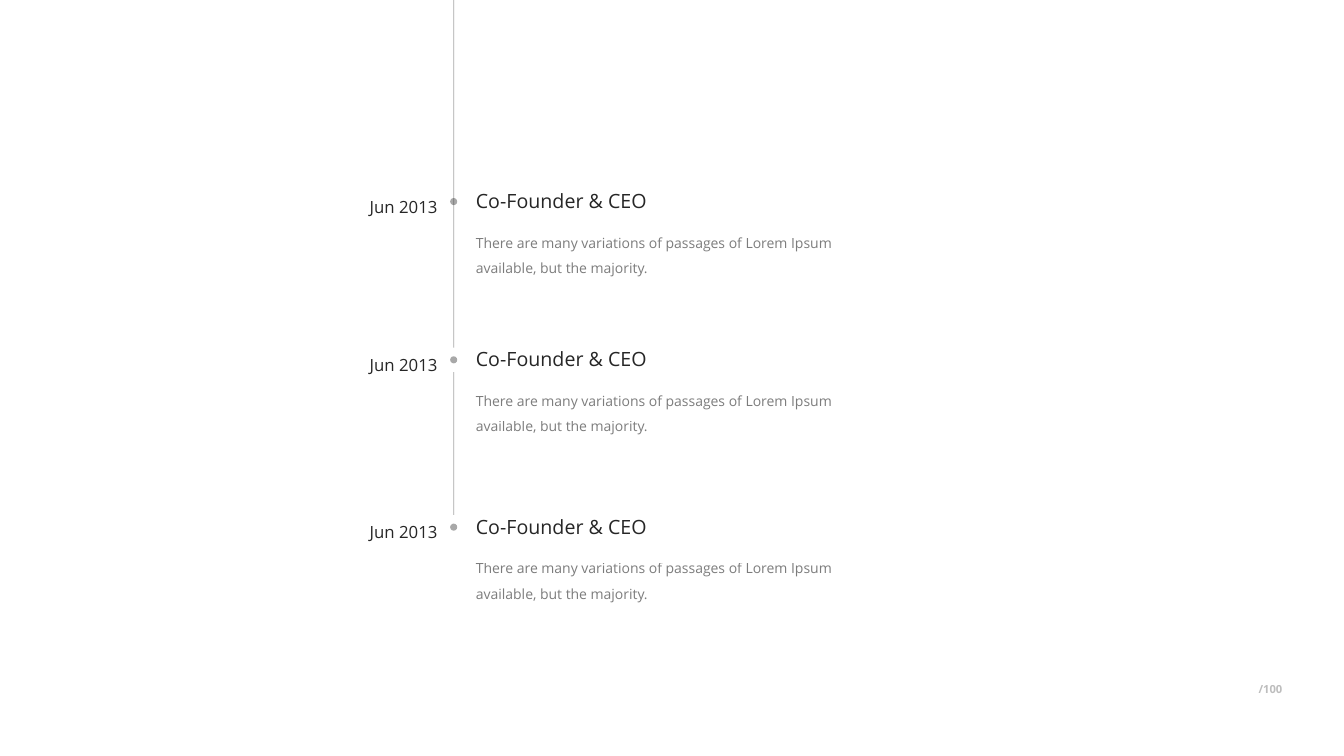
from lxml.etree import SubElement
from pptx import Presentation
from pptx.dml.color import RGBColor
from pptx.enum.shapes import MSO_CONNECTOR, MSO_SHAPE
from pptx.enum.text import MSO_ANCHOR, PP_ALIGN
from pptx.oxml.ns import qn
from pptx.util import Inches, Pt

FONT = "Open Sans"
INK, WHITE = "262626", "FFFFFF"
BODY = "There are many variations of passages of Lorem Ipsum available, but the majority."
# centre of the dot, gap in the line, date, role, description
EVENTS = [
    (2.00, False, "Jun 2013", "Co-Founder & CEO", BODY),
    (3.57, True, "Jun 2013", "Co-Founder & CEO", BODY),
    (5.23, True, "Jun 2013", "Co-Founder & CEO", BODY),
]
PAGE_LABEL = "/100"
LINE_X, LINE_END = 4.5, 5.3
DOT, GAP = 0.07, 0.24
DATE_X, TEXT_X = 2.95, 4.72


def paint(fill, color, element, opacity=100):
    """Fill with a solid colour; element is the XML that holds the fill."""
    fill.solid()
    fill.fore_color.rgb = RGBColor.from_string(color)
    if opacity < 100:
        clr = next(element.iter(qn("a:srgbClr")))
        SubElement(clr, qn("a:alpha")).set("val", str(opacity * 1000))


def add_text(s, box, text, size, opacity=100, align=PP_ALIGN.LEFT, spacing=1.0,
             anchor=MSO_ANCHOR.TOP, bold=False, right_inset=0):
    tf = s.shapes.add_textbox(*map(Inches, box)).text_frame
    tf.word_wrap = True
    tf.vertical_anchor = anchor
    tf.margin_left = tf.margin_top = tf.margin_bottom = 0
    tf.margin_right = Inches(right_inset)
    p = tf.paragraphs[0]
    p.alignment = align
    p.line_spacing = spacing
    r = p.add_run()
    r.text = text
    r.font.name = FONT
    r.font.size = Pt(size)
    r.font.bold = bold
    paint(r.font.fill, INK, r._r, opacity)


def add_centred(s, kind, y, size, color, opacity=100):
    """Draw a shape centred on the timeline at height y."""
    sp = s.shapes.add_shape(kind, Inches(LINE_X - size / 2), Inches(y - size / 2),
                            Inches(size), Inches(size))
    sp.shadow.inherit = False
    paint(sp.fill, color, sp._element, opacity)
    sp.line.fill.background()


def add_timeline(s):
    line = s.shapes.add_connector(MSO_CONNECTOR.STRAIGHT, Inches(LINE_X), 0,
                                  Inches(LINE_X), Inches(LINE_END))
    line.line.width = Pt(0.5)
    paint(line.line.fill, INK, line._element, 40)
    SubElement(line._element.spPr, qn("a:effectLst"))


def add_event(s, y, has_gap, date, role, description):
    if has_gap:
        add_centred(s, MSO_SHAPE.RECTANGLE, y, GAP, WHITE)
    add_centred(s, MSO_SHAPE.OVAL, y, DOT, INK, 40)
    add_text(s, (DATE_X, y - 0.25, 1.39, 0.35), date, 12, align=PP_ALIGN.RIGHT, spacing=2.0)
    add_text(s, (TEXT_X, y - 0.17, 4.03, 0.26), role, 14, spacing=1.2)
    add_text(s, (TEXT_X, y + 0.24, 4.03, 0.48), description, 10, 60, spacing=1.5,
             right_inset=0.1)


def main():
    prs = Presentation()
    prs.slide_width, prs.slide_height = Inches(13.33), Inches(7.5)
    s = prs.slides.add_slide(prs.slide_layouts[6])
    paint(s.background.fill, WHITE, s._element)
    add_text(s, (12.16, 6.71, 0.56, 0.25), PAGE_LABEL, 8, 30, PP_ALIGN.RIGHT,
             anchor=MSO_ANCHOR.MIDDLE, bold=True)
    add_timeline(s)
    for event in EVENTS:
        add_event(s, *event)
    prs.save("out.pptx")


if __name__ == "__main__":
    main()
